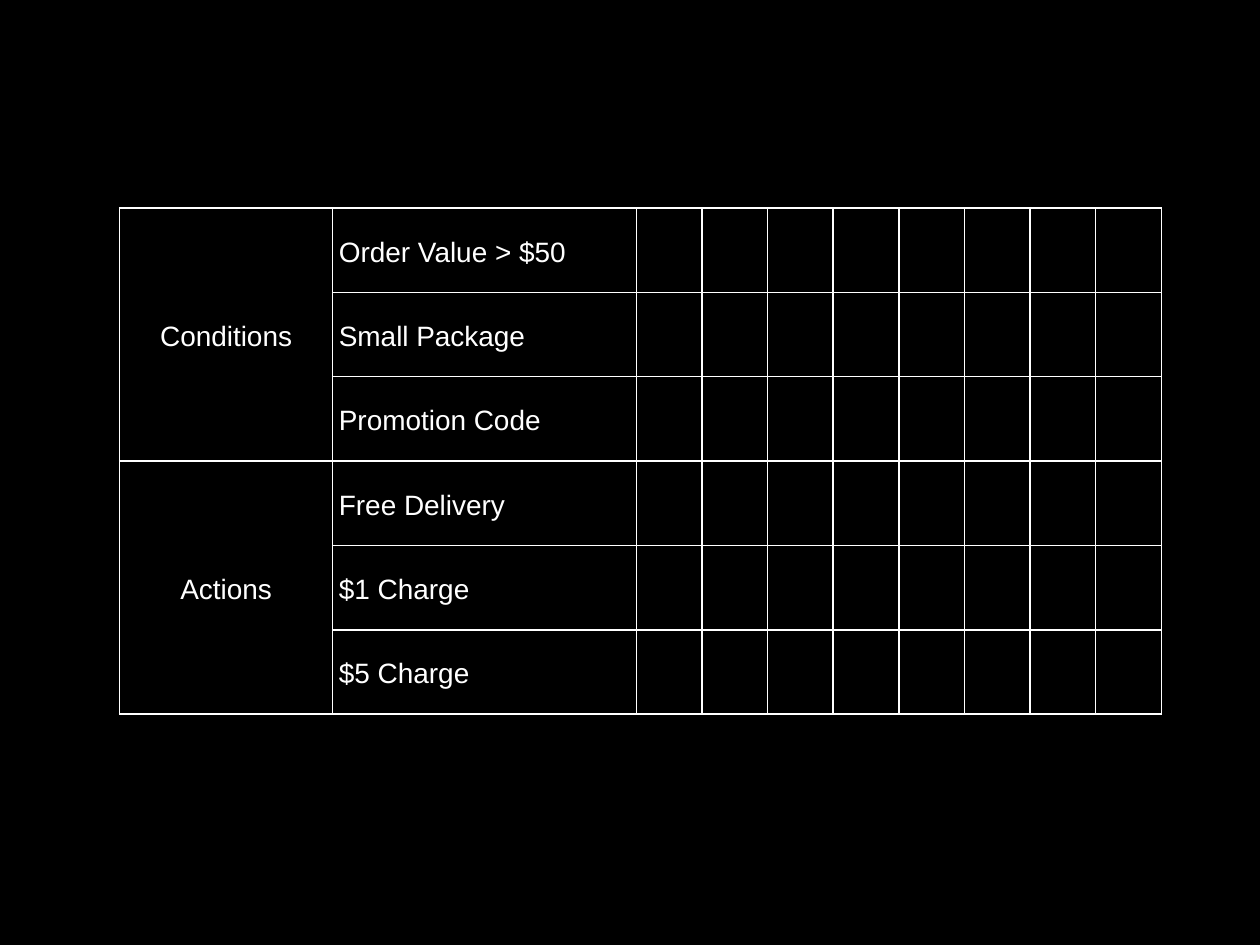
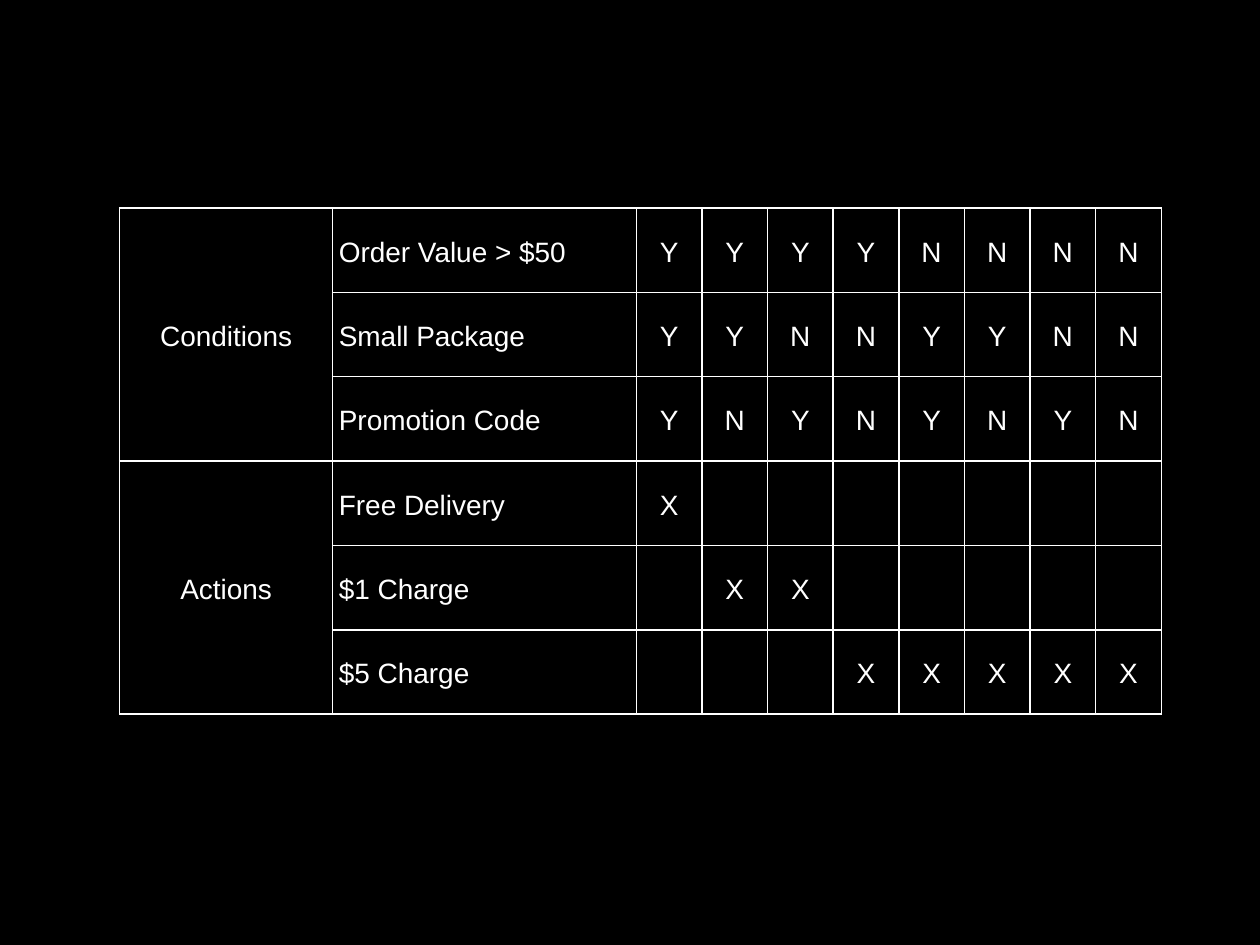
from dataclasses import dataclass
from itertools import product

from lxml import etree
from pptx import Presentation
from pptx.dml.color import RGBColor
from pptx.enum.text import MSO_ANCHOR, PP_ALIGN
from pptx.oxml.ns import qn
from pptx.util import Pt

LEFT, CENTER = PP_ALIGN.LEFT, PP_ALIGN.CENTER
MIDDLE = MSO_ANCHOR.MIDDLE
SCALE = 9144
BLANK = 6
SIDES = ("a:lnL", "a:lnR", "a:lnT", "a:lnB")

GROUPS = {
    "Conditions": ["Order Value > $50", "Small Package", "Promotion Code"],
    "Actions": ["Free Delivery", "$1 Charge", "$5 Charge"],
}
RULES = list(product("YN", repeat=3))
PICKS = [0, 1, 1, 2, 2, 2, 2, 2]


@dataclass(frozen=True)
class Theme:
    """Colours, type and line sizes of the deck."""
    back: str = "000000"
    ink: str = "FFFFFF"
    font: str = "Arial"
    size: int = 16
    lead: float = 1.15
    line: int = 1
    pad: int = 5


def px(num):
    """Turn px into EMU."""
    return round(num * SCALE)


class Deck:
    """Holds the theme, the file and the current slide."""

    def __init__(self, theme, wide, high):
        """Start a deck of the given size."""
        self.theme = theme
        self.file = Presentation()
        self.file.slide_width, self.file.slide_height = px(wide), px(high)
        self.slide = None

    def page(self):
        """Add a plain slide in the back colour."""
        self.slide = self.file.slides.add_slide(self.file.slide_layouts[BLANK])
        fill = self.slide.background.fill
        fill.solid()
        fill.fore_color.rgb = RGBColor.from_string(self.theme.back)

    def grid(self, left, top, widths, heights):
        """Add a ruled table and return it."""
        frame = self.slide.shapes.add_table(
            len(heights), len(widths), px(left), px(top),
            px(sum(widths)), px(sum(heights)))
        table = frame.table
        table.first_row = table.horz_banding = False
        for col, wide in zip(table.columns, widths):
            col.width = px(wide)
        for row, high in zip(table.rows, heights):
            row.height = px(high)
        for cell in table.iter_cells():
            self.box(cell)
        return table

    def box(self, cell):
        """Set the fill, padding and borders of a cell."""
        pad = px(self.theme.pad)
        cell.margin_left = cell.margin_right = pad
        cell.margin_top = cell.margin_bottom = pad
        cell.vertical_anchor = MIDDLE
        cell.fill.solid()
        cell.fill.fore_color.rgb = RGBColor.from_string(self.theme.back)
        props = cell._tc.get_or_add_tcPr()
        for spot, side in enumerate(SIDES):
            line = etree.Element(qn(side), w=str(Pt(self.theme.line)))
            fill = etree.SubElement(line, qn("a:solidFill"))
            etree.SubElement(fill, qn("a:srgbClr"), val=self.theme.ink)
            props.insert(spot, line)

    def text(self, cell, words, align=CENTER):
        """Write one run into a cell."""
        para = cell.text_frame.paragraphs[0]
        para.alignment = align
        para.line_spacing = self.theme.lead
        run = para.add_run()
        run.text = words
        run.font.name = self.theme.font
        run.font.size = Pt(self.theme.size)
        run.font.color.rgb = RGBColor.from_string(self.theme.ink)

    def rules(self, solved):
        """Add the decision table, with its answers if solved."""
        self.page()
        count = len(RULES)
        table = self.grid(95, 165, [169, 241] + [417 / count] * count, [67] * 6)
        row = 0
        for group, names in GROUPS.items():
            head = table.cell(row, 0)
            head.merge(table.cell(row + len(names) - 1, 0))
            self.text(head, group)
            for name in names:
                self.text(table.cell(row, 1), name, LEFT)
                row += 1
        if solved:
            self.solve(table)

    def solve(self, table):
        """Fill in each rule and mark its action."""
        for col, (rule, pick) in enumerate(zip(RULES, PICKS), 2):
            for row, mark in enumerate(rule):
                self.text(table.cell(row, col), mark)
            self.text(table.cell(len(rule) + pick, col), "X")


def main():
    """Build both slides and save them."""
    deck = Deck(Theme(), 1000, 750)
    for solved in (False, True):
        deck.rules(solved)
    deck.file.save("out.pptx")


if __name__ == "__main__":
    main()
